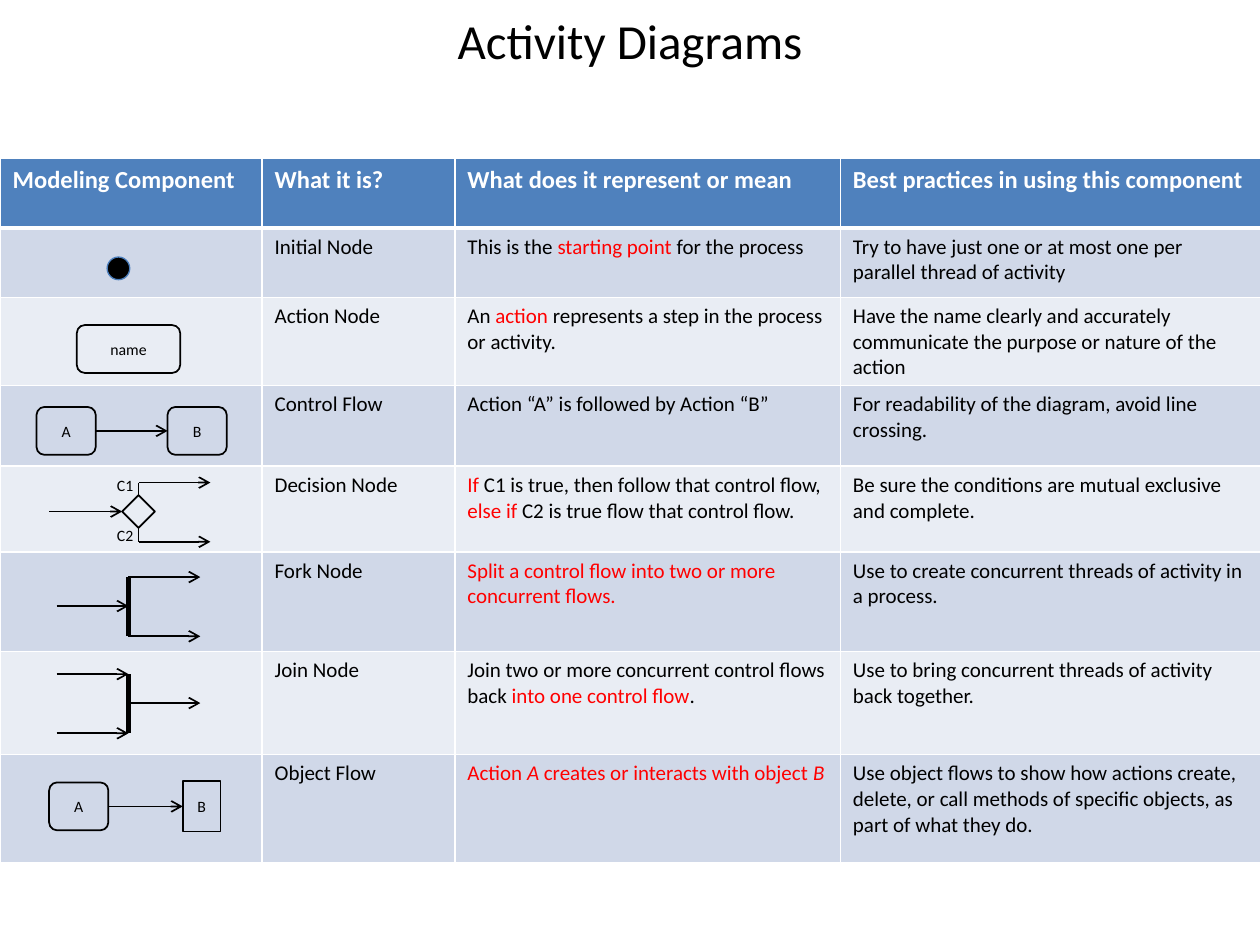
from dataclasses import dataclass

import lxml.etree
import pptx
import pptx.dml.color
import pptx.enum.shapes
import pptx.enum.text
import pptx.oxml
import pptx.oxml.ns
import pptx.util

Inches, Pt = pptx.util.Inches, pptx.util.Pt
RGB = pptx.dml.color.RGBColor.from_string
SHAPE = pptx.enum.shapes.MSO_SHAPE
ALIGN = pptx.enum.text.PP_ALIGN
MIDDLE = pptx.enum.text.MSO_ANCHOR.MIDDLE
qn = pptx.oxml.ns.qn


@dataclass(frozen=True)
class Theme:
    font: str = "Calibri"
    black = RGB("000000")
    white = RGB("FFFFFF")
    red = RGB("FF0000")
    header = RGB("4F81BD")
    bands = (RGB("D0D8E8"), RGB("E9EDF4"))
    dot_line = RGB("4B7EBC")
    title_size = Pt(28)
    header_size = Pt(14)
    body_size = Pt(12)
    label_size = Pt(9)


theme = Theme()

deck = pptx.Presentation()
deck.slide_width, deck.slide_height = Inches(10), Inches(7.5)
slide = deck.slides.add_slide(deck.slide_layouts[6])


def add_node(kind, left, top, width, height, label=""):
    node = slide.shapes.add_shape(kind, Inches(left), Inches(top), Inches(width), Inches(height))
    node.shadow.inherit = False
    node.fill.background()
    node.line.color.rgb = theme.black
    node.line.width = Pt(1)
    if label:
        node.text_frame.text = label
        node.text_frame.word_wrap = False
        node.text_frame.vertical_anchor = MIDDLE
        caption = node.text_frame.paragraphs[0]
        caption.alignment = ALIGN.CENTER
        caption.font.name, caption.font.size = theme.font, theme.label_size
        caption.font.color.rgb = theme.black
    return node


def add_flow(x1, y1, x2, y2, weight=1, arrow=True):
    flow = slide.shapes.add_connector(
        pptx.enum.shapes.MSO_CONNECTOR.STRAIGHT, Inches(x1), Inches(y1), Inches(x2), Inches(y2))
    flow.line.color.rgb = theme.black
    flow.line.width = Pt(weight)
    properties = flow._element.spPr
    if arrow:
        lxml.etree.SubElement(properties.find(qn("a:ln")), qn("a:tailEnd"), type="arrow")
    lxml.etree.SubElement(properties, qn("a:effectLst"))
    return flow


# Title
title = slide.shapes.add_textbox(Inches(0.5), Inches(0.02), Inches(9), Inches(0.6)).text_frame
title.word_wrap = True
title.vertical_anchor = MIDDLE
title.text = "Activity Diagrams"
heading = title.paragraphs[0]
heading.alignment = ALIGN.CENTER
heading.font.name, heading.font.size = theme.font, theme.title_size
heading.font.color.rgb = theme.black

# Table: text between bars is red, text between underscores is italic
rows = [
    ("Modeling Component", "What it is?", "What does it represent or mean",
     "Best practices in using this component"),
    ("", "Initial Node", "This is the |starting point |for the process",
     "Try to have just one or at most one per parallel thread of activity"),
    ("", "Action Node", "An |action| represents a step in the process or activity.",
     "Have the name clearly and accurately communicate the purpose or nature of the action"),
    ("", "Control Flow", "Action “A” is followed by Action “B”",
     "For readability of the diagram, avoid line crossing."),
    ("", "Decision Node",
     "|If| C1 is true, then follow that control flow, |else if |C2 is true flow that control flow.",
     "Be sure the conditions are mutual exclusive and complete."),
    ("", "Fork Node", "|Split a control flow into two or more concurrent flows.|",
     "Use to create concurrent threads of activity in a process."),
    ("", "Join Node",
     "Join two or more concurrent control flows back |into one control flow|.",
     "Use to bring concurrent threads of activity back together."),
    ("", "Object Flow", "|Action _A_ creates or interacts with object _B_|",
     "Use object flows to show how actions create, delete, or call methods of specific "
     "objects, as part of what they do."),
]
column_widths = (2.08, 1.53, 3.06, 3.34)
row_heights = (0.55, 0.55, 0.68, 0.64, 0.68, 0.79, 0.82, 0.86)

table = slide.shapes.add_table(
    len(rows), len(column_widths), Inches(0), Inches(1.26),
    Inches(10), Inches(sum(row_heights))).table
for column, width in zip(table.columns, column_widths):
    column.width = Inches(width)
for row, height in zip(table.rows, row_heights):
    row.height = Inches(height)

for r, texts in enumerate(rows):
    is_header = r == 0
    for c, text in enumerate(texts):
        cell = table.cell(r, c)
        cell.fill.solid()
        cell.fill.fore_color.rgb = theme.header if is_header else theme.bands[(r - 1) % 2]

        paragraph = cell.text_frame.paragraphs[0]
        paragraph.font.name = theme.font
        paragraph.font.size = theme.header_size if is_header else theme.body_size
        paragraph.font.bold = is_header
        for i, part in enumerate(text.split("|")):
            for j, words in enumerate(part.split("_")):
                if words:
                    run = paragraph.add_run()
                    run.text = words
                    plain = theme.white if is_header else theme.black
                    run.font.color.rgb = theme.red if i % 2 else plain
                    if j % 2:
                        run.font.italic = True

        heavy_side = {0: "B", 1: "T"}.get(r)
        for position, side in enumerate("LRTB"):
            border = pptx.oxml.parse_xml(
                f'<a:ln{side} {pptx.oxml.ns.nsdecls("a")} w="{Pt(3 if side == heavy_side else 1)}">'
                f'<a:solidFill><a:srgbClr val="{theme.white}"/></a:solidFill></a:ln{side}>')
            cell._tc.get_or_add_tcPr().insert(position, border)

# Initial node
start = add_node(SHAPE.OVAL, 0.85, 2.04, 0.18, 0.18)
start.fill.solid()
start.fill.fore_color.rgb = theme.black
start.line.color.rgb = theme.dot_line
start.line.width = Pt(0.75)

# Action node
add_node(SHAPE.ROUNDED_RECTANGLE, 0.61, 2.58, 0.82, 0.38, "name")

# Control flow and object flow
action_a = add_node(SHAPE.ROUNDED_RECTANGLE, 0.29, 3.23, 0.47, 0.38, "A")
action_b = add_node(SHAPE.ROUNDED_RECTANGLE, 1.33, 3.23, 0.47, 0.38, "B")
creator = add_node(SHAPE.ROUNDED_RECTANGLE, 0.39, 6.21, 0.47, 0.38, "A")
object_b = add_node(SHAPE.RECTANGLE, 1.45, 6.2, 0.3, 0.4, "B")
for source, target, y in ((action_a, action_b, 3.42), (creator, object_b, 6.4)):
    link = add_flow(0.8, y, 1.4, y)
    link.begin_connect(source, 3)
    link.end_connect(target, 1)

# Decision node
decision = add_node(SHAPE.DIAMOND, 0.97, 3.93, 0.26, 0.26)
add_flow(0.39, 4.06, 0.97, 4.06).end_connect(decision, 1)
for condition, label_top, corner, branch_y in (("C1", 3.73, 0, 3.83), ("C2", 4.12, 2, 4.3)):
    add_flow(1.1, 4.06, 1.1, branch_y, arrow=False).begin_connect(decision, corner)
    add_flow(1.1, branch_y, 1.67, branch_y)
    guard = slide.shapes.add_textbox(
        Inches(0.83), Inches(label_top), Inches(0.33), Inches(0.25)).text_frame
    guard.word_wrap = False
    guard.text = condition
    guard_font = guard.paragraphs[0].font
    guard_font.name, guard_font.size = theme.font, theme.label_size
    guard_font.color.rgb = theme.black

# Fork and join: a heavy bar with flows before and after it
left, bar, right = 0.45, 1.02, 1.59
for top, incoming, outgoing in ((4.58, (0.23,), (0, 0.47)), (5.35, (0, 0.47), (0.23,))):
    for offset in incoming:
        add_flow(left, top + offset, bar, top + offset)
    for offset in outgoing:
        add_flow(bar, top + offset, right, top + offset)
    add_flow(bar, top, bar, top + 0.47, weight=2.5, arrow=False)

deck.save("out.pptx")
